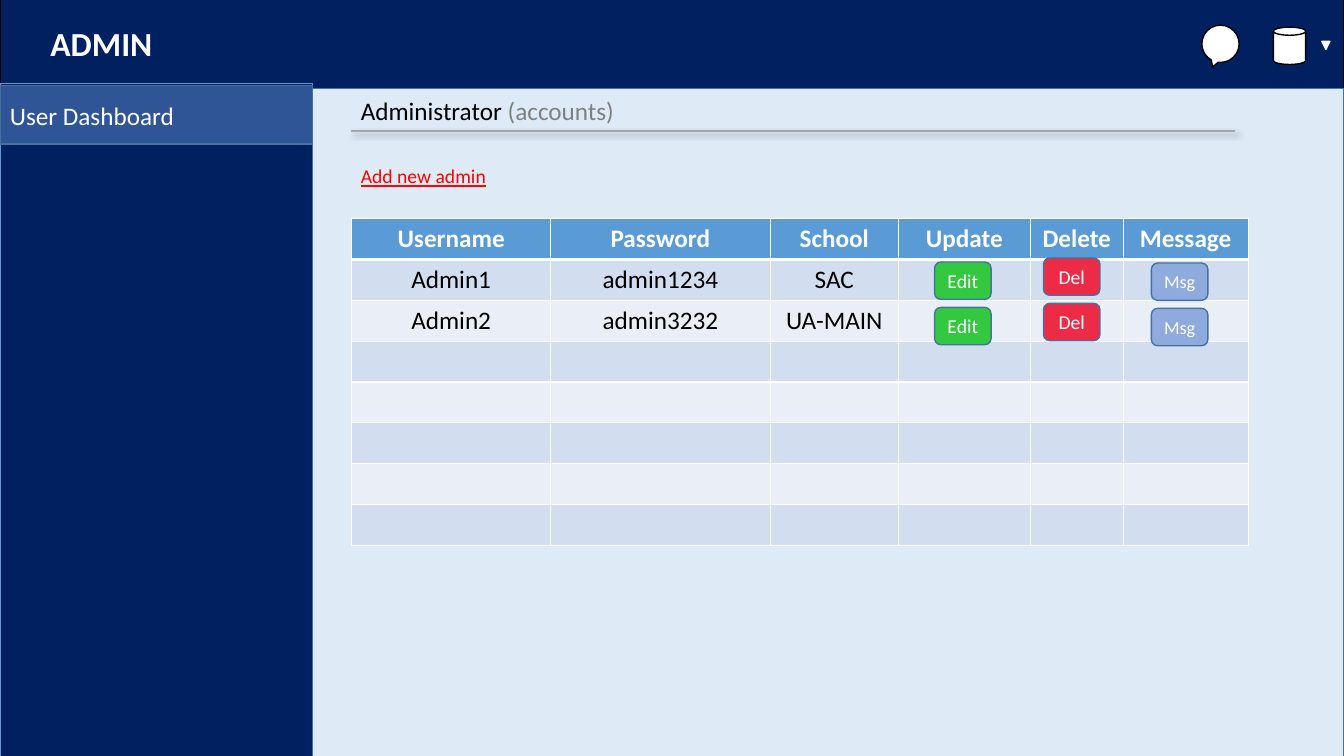
"""Build the administrator accounts dashboard slide."""
from lxml import etree
from pptx import Presentation, util as u
from pptx.dml.color import RGBColor
from pptx.enum import shapes, text
from pptx.oxml import ns, parse_xml

THEME = {
    "font": "Calibri", "title": 24, "body": 18, "link": 14, "msg": 13,
    "white": "FFFFFF", "black": "000000", "navy": "002060", "active": "2F5597",
    "canvas": "DEEBF7", "accent": "5B9BD5", "edge": "43739E", "rule": "A5A5A5",
    "muted": "808080", "red": "FF0000", "bands": ("EAEFF7", "D2DEEF"),
    "edit": "32C840", "del": "ED2B47", "message": "8FAADC",
}
SHAPE = shapes.MSO_SHAPE
LEFT, CENTER = text.PP_ALIGN.LEFT, text.PP_ALIGN.CENTER

PANELS = [
    ((0, -0.04, 13.33, 0.94), "navy", "black", "ADMIN", "title", True, 0.5),
    ((0, 0.83, 3.1, 6.7), "navy", "accent", "", "body", False, 0.1),
    ((0, 0.85, 3.1, 0.58), "active", "edge", "User Dashboard", "body", False, 0.1),
    ((3.1, 0.88, 10.23, 6.65), "canvas", "edge", "", "body", False, 0.1),
]
ICONS = [
    (SHAPE.OVAL_CALLOUT, (11.92, 0.25, 0.37, 0.37), "black", 0),
    (SHAPE.CAN, (12.63, 0.27, 0.32, 0.37), "black", 0),
    (SHAPE.ISOSCELES_TRIANGLE, (13.11, 0.41, 0.08, 0.08), "white", 180),
]
LABELS = [
    ((3.48, 0.9, 3.01, 0.4), "body",
     [("Administrator ", "black", False), ("(accounts)", "muted", False)]),
    ((3.48, 1.58, 2.56, 0.34), "link", [("Add new admin", "red", True)]),
]
HEADERS = ["Username", "Password", "School", "Update", "Delete", "Message"]
ACCOUNTS = [("Admin1", "admin1234", "SAC"), ("Admin2", "admin3232", "UA-MAIN")]
COL_WIDTHS = [1.97, 2.18, 1.27, 1.31, 0.92, 1.24]
TABLE_LEFT, TABLE_TOP, ROW_HEIGHT, ROW_COUNT = 3.49, 2.17, 0.405, 8
BUTTONS = [
    ("Edit", 9.27, 2.6, "edit", "link"),
    ("Del", 10.35, 2.56, "del", "link"),
    ("Msg", 11.42, 2.61, "message", "msg"),
]
BUTTON_WIDTH, BUTTON_HEIGHT, BUTTON_STEP = 0.56, 0.37, 0.45


def color(name):
    return RGBColor.from_string(THEME.get(name, name))


def inches(box):
    return [u.Inches(v) for v in box]


def style(r, size, ink="white", bold=False, underline=False):
    f = r.font
    f.name, f.size, f.bold = THEME["font"], u.Pt(THEME[size]), bold
    f.color.rgb = color(ink)
    if underline:
        f.underline = True


def add_box(s, kind, box, fill, line):
    sp = s.shapes.add_shape(kind, *inches(box))
    sp.shadow.inherit = False
    sp.fill.solid()
    sp.fill.fore_color.rgb = color(fill)
    sp.line.color.rgb = color(line)
    sp.line.width = u.Pt(1)
    return sp


def write(sp, words, size, bold=False, align=CENTER, inset=0.0):
    tf = sp.text_frame
    tf.word_wrap = True
    tf.vertical_anchor = text.MSO_ANCHOR.MIDDLE
    tf.margin_left = u.Inches(inset)
    tf.margin_right = u.Inches(min(inset, 0.1))
    p = tf.paragraphs[0]
    p.text, p.alignment = words, align
    style(p.runs[0], size, bold=bold)


def add_label(s, box, size, parts):
    tf = s.shapes.add_textbox(*inches(box)).text_frame
    tf.word_wrap = True
    p = tf.paragraphs[0]
    for words, ink, underline in parts:
        r = p.add_run()
        r.text = words
        style(r, size, ink, underline=underline)


def add_rule(s):
    ln = s.shapes.add_connector(shapes.MSO_CONNECTOR.STRAIGHT, *inches((3.48, 1.3, 12.25, 1.3)))
    ln.line.color.rgb = color("rule")
    ln.line.width = u.Pt(1.5)
    ln._element.spPr.append(parse_xml(
        f'<a:effectLst {ns.nsdecls("a")}><a:outerShdw blurRad="{u.Pt(4)}" dist="{u.Pt(3)}" '
        'dir="2700000" algn="tl" rotWithShape="0"><a:srgbClr val="000000">'
        '<a:alpha val="40000"/></a:srgbClr></a:outerShdw></a:effectLst>'))


def add_borders(cell, row):
    tc_pr = cell._tc.get_or_add_tcPr()
    widths = {"lnL": 1, "lnR": 1, "lnT": 3 if row == 1 else 1, "lnB": 3 if row == 0 else 1}
    for i, (side, width) in enumerate(widths.items()):
        ln = etree.Element(ns.qn(f"a:{side}"), w=str(u.Pt(width)))
        fill = etree.SubElement(ln, ns.qn("a:solidFill"))
        etree.SubElement(fill, ns.qn("a:srgbClr"), val=THEME["white"])
        tc_pr.insert(i, ln)


def add_accounts(s):
    box = (TABLE_LEFT, TABLE_TOP, sum(COL_WIDTHS), ROW_HEIGHT * ROW_COUNT)
    table = s.shapes.add_table(ROW_COUNT, len(HEADERS), *inches(box)).table
    for col, width in zip(table.columns, COL_WIDTHS):
        col.width = u.Inches(width)
    rows = [HEADERS, *ACCOUNTS]
    for i in range(ROW_COUNT):
        words = rows[i] if i < len(rows) else ()
        for j in range(len(HEADERS)):
            cell = table.cell(i, j)
            cell.fill.solid()
            cell.fill.fore_color.rgb = color(THEME["bands"][i % 2] if i else "accent")
            add_borders(cell, i)
            if j < len(words):
                p = cell.text_frame.paragraphs[0]
                p.text, p.alignment = words[j], CENTER
                style(p.runs[0], "body", "black" if i else "white", bold=i == 0)


def main():
    prs = Presentation()
    prs.slide_width, prs.slide_height = u.Inches(13.33), u.Inches(7.5)
    s = prs.slides.add_slide(prs.slide_layouts[6])
    for box, fill, line, words, size, bold, inset in PANELS:
        sp = add_box(s, SHAPE.RECTANGLE, box, fill, line)
        if words:
            write(sp, words, size, bold, LEFT, inset)
    for kind, box, line, turn in ICONS:
        add_box(s, kind, box, "white", line).rotation = turn
    add_rule(s)
    for label in LABELS:
        add_label(s, *label)
    add_accounts(s)
    for words, left, top, fill, size in BUTTONS:
        for i in range(len(ACCOUNTS)):
            box = (left, top + i * BUTTON_STEP, BUTTON_WIDTH, BUTTON_HEIGHT)
            write(add_box(s, SHAPE.ROUNDED_RECTANGLE, box, fill, "edge"), words, size)
    prs.save("out.pptx")


if __name__ == "__main__":
    main()
